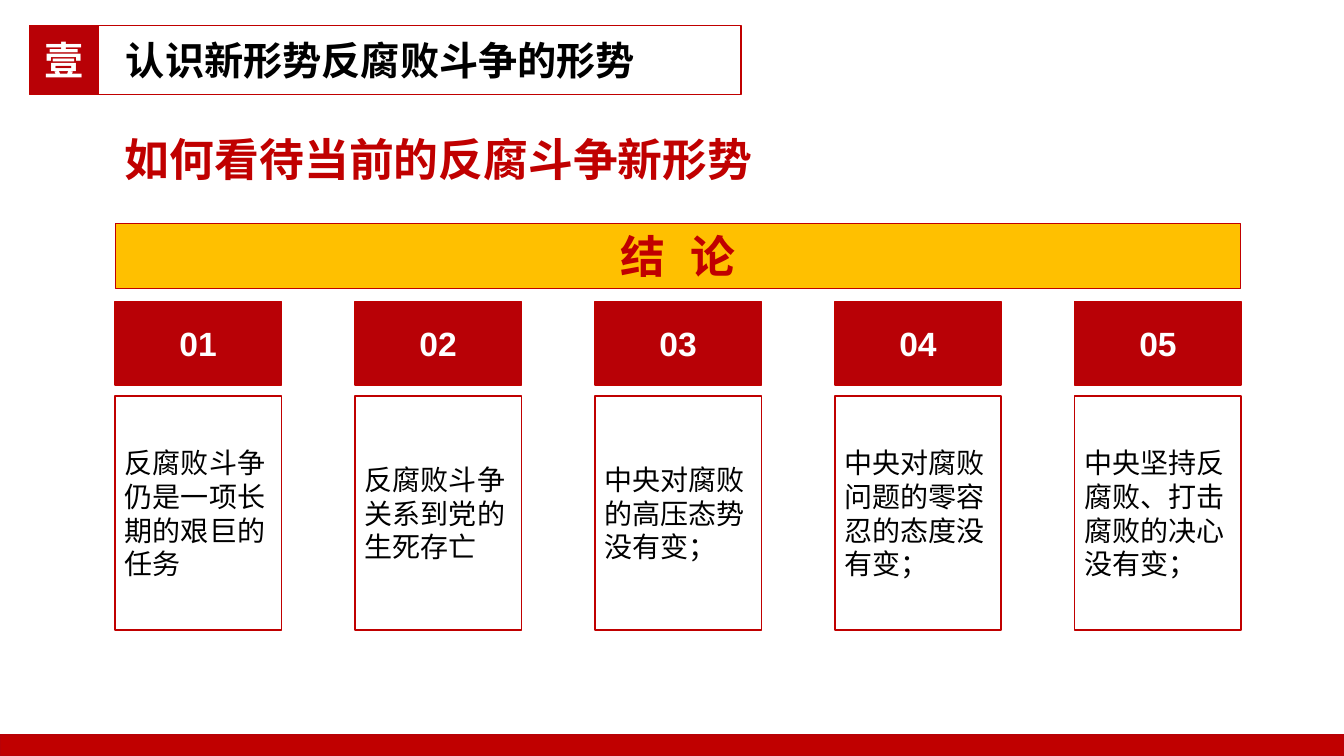
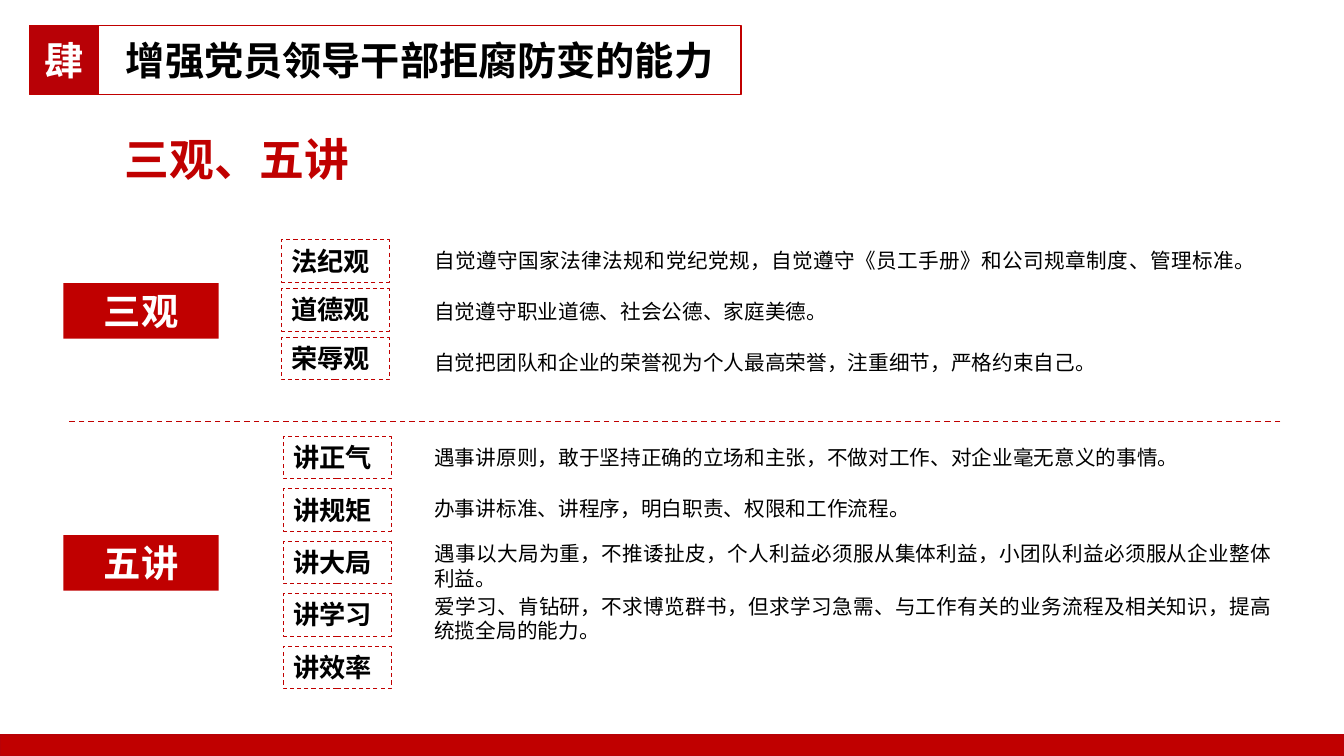
from dataclasses import dataclass

from lxml.etree import SubElement
from pptx import Presentation
from pptx.dml.color import RGBColor
from pptx.enum.dml import MSO_LINE
from pptx.enum.lang import MSO_LANGUAGE_ID
from pptx.enum.shapes import MSO_CONNECTOR, MSO_SHAPE
from pptx.enum.text import MSO_ANCHOR, PP_ALIGN
from pptx.oxml.ns import qn
from pptx.util import Inches, Pt


@dataclass(frozen=True)
class Theme:
    font: str = "Arial"
    red: RGBColor = RGBColor(0xC0, 0x00, 0x00)
    deep_red: RGBColor = RGBColor(0xB8, 0x01, 0x06)
    gold: RGBColor = RGBColor(0xFF, 0xC0, 0x00)
    black: RGBColor = RGBColor(0x00, 0x00, 0x00)
    white: RGBColor = RGBColor(0xFF, 0xFF, 0xFF)
    heading: float = 32
    title: float = 28
    group: float = 26.7
    number: float = 24
    card: float = 20
    label: float = 18.7
    body: float = 14.7


T = Theme()


def write(sp, text, size, color=T.black, bold=False, align=PP_ALIGN.LEFT,
          anchor=MSO_ANCHOR.TOP, wrap=True):
    tf = sp.text_frame
    tf.text = text
    tf.word_wrap = wrap
    tf.vertical_anchor = anchor
    p = tf.paragraphs[0]
    p.alignment = align
    f = p.runs[0].font
    f.name, f.size, f.bold = T.font, Pt(size), bold
    f.color.rgb = color
    f.language_id = MSO_LANGUAGE_ID.SIMPLIFIED_CHINESE
    # Chinese characters take the East Asian typeface
    SubElement(p.runs[0]._r.rPr, qn("a:ea"), typeface=T.font)


def box(s, x, y, w, h, fill=None, line=T.red, width=1, dash=None):
    sp = s.shapes.add_shape(MSO_SHAPE.RECTANGLE, Inches(x), Inches(y), Inches(w), Inches(h))
    sp.shadow.inherit = False
    if fill is None:
        sp.fill.background()
    else:
        sp.fill.solid()
        sp.fill.fore_color.rgb = fill
    if line is None:
        sp.line.fill.background()
    else:
        sp.line.color.rgb = line
        sp.line.width = Pt(width)
        sp.line.dash_style = dash
    return sp


prs = Presentation()
prs.slide_width, prs.slide_height = Inches(13.33), Inches(7.5)

# Shared frame: footer band, chapter mark, title and heading
frames = [
    ("壹", "认识新形势反腐败斗争的形势", "如何看待当前的反腐斗争新形势", 6.48),
    ("肆", "增强党员领导干部拒腐防变的能力", "三观、五讲", 2.45),
]
slides = []
for chapter, title, heading, heading_w in frames:
    s = prs.slides.add_slide(prs.slide_layouts[6])
    slides.append(s)
    box(s, 0, 7.29, 13.33, 0.21, T.red, T.deep_red)
    tb = s.shapes.add_textbox(Inches(1.14), Inches(1.26), Inches(heading_w), Inches(0.64))
    write(tb, heading, T.heading, T.red, True, wrap=False)
    mark = box(s, 0.29, 0.25, 0.69, 0.69, T.deep_red)
    write(mark, chapter, T.title, T.white, True, PP_ALIGN.CENTER, MSO_ANCHOR.MIDDLE)
    bar = box(s, 0.98, 0.25, 6.37, 0.69)
    write(bar, title, T.title, bold=True, anchor=MSO_ANCHOR.MIDDLE)
    bar.text_frame.margin_left = Inches(0.27)

# Slide 1: conclusion banner over five numbered cards
s = slides[0]
banner = box(s, 1.15, 2.22, 11.15, 0.64, T.gold, width=0.75)
write(banner, "结  论", T.heading, T.red, True, PP_ALIGN.CENTER)
cards = [
    "反腐败斗争仍是一项长期的艰巨的任务",
    "反腐败斗争关系到党的生死存亡",
    "中央对腐败的高压态势没有变；",
    "中央对腐败问题的零容忍的态度没有变；",
    "中央坚持反腐败、打击腐败的决心没有变；",
]
for i, text in enumerate(cards):
    x = 1.14 + 2.38 * i
    number = box(s, x, 2.99, 1.65, 0.83, T.deep_red)
    write(number, f"{i + 1:02d}", T.number, T.white, True, PP_ALIGN.CENTER, MSO_ANCHOR.MIDDLE)
    card = box(s, x, 3.93, 1.65, 2.32)
    write(card, text, T.card, anchor=MSO_ANCHOR.MIDDLE)

# Slide 2: two groups of labels with explanations
s = slides[1]
# group name, its top, label left, first label top, label pitch, text width,
# then (label, explanation, explanation top, explanation height)
groups = [
    ("三观", 2.81, 2.79, 2.38, 0.485, 8.13, [
        ("法纪观", "自觉遵守国家法律法规和党纪党规，自觉遵守《员工手册》和公司规章制度、管理标准。", 2.41, 0.35),
        ("道德观", "自觉遵守职业道德、社会公德、家庭美德。", 2.92, 0.35),
        ("荣辱观", "自觉把团队和企业的荣誉视为个人最高荣誉，注重细节，严格约束自己。", 3.42, 0.35),
    ]),
    ("五讲", 5.31, 2.81, 4.33, 0.52, 8.5, [
        ("讲正气", "遇事讲原则，敢于坚持正确的立场和主张，不做对工作、对企业毫无意义的事情。", 4.36, 0.35),
        ("讲规矩", "办事讲标准、讲程序，明白职责、权限和工作流程。", 4.87, 0.35),
        ("讲大局", "遇事以大局为重，不推诿扯皮，个人利益必须服从集体利益，小团队利益必须服从企业整体利益。", 5.32, 0.59),
        ("讲学习", "爱学习、肯钻研，不求博览群书，但求学习急需、与工作有关的业务流程及相关知识，提高统揽全局的能力。", 5.84, 0.59),
        ("讲效率", None, None, None),
    ]),
]
for name, name_y, label_x, label_y, pitch, text_w, rows in groups:
    for i, (label, text, text_y, text_h) in enumerate(rows):
        sp = box(s, label_x, label_y + pitch * i, 1.07, 0.42, width=0.75, dash=MSO_LINE.DASH)
        write(sp, label, T.label, bold=True)
        if text:
            tb = s.shapes.add_textbox(Inches(4.21), Inches(text_y), Inches(text_w), Inches(text_h))
            write(tb, text, T.body, align=PP_ALIGN.JUSTIFY)
    tag = box(s, 0.63, name_y, 1.54, 0.55, T.red, None)
    write(tag, name, T.group, T.white, True, PP_ALIGN.CENTER)

# Divider between the groups
divider = s.shapes.add_connector(MSO_CONNECTOR.STRAIGHT, Inches(12.7), Inches(4.18),
                                 Inches(0.67), Inches(4.18))
divider.line.color.rgb = T.red
divider.line.width = Pt(1)
divider.line.dash_style = MSO_LINE.DASH
SubElement(divider._element.spPr, qn("a:effectLst"))

prs.save("out.pptx")
